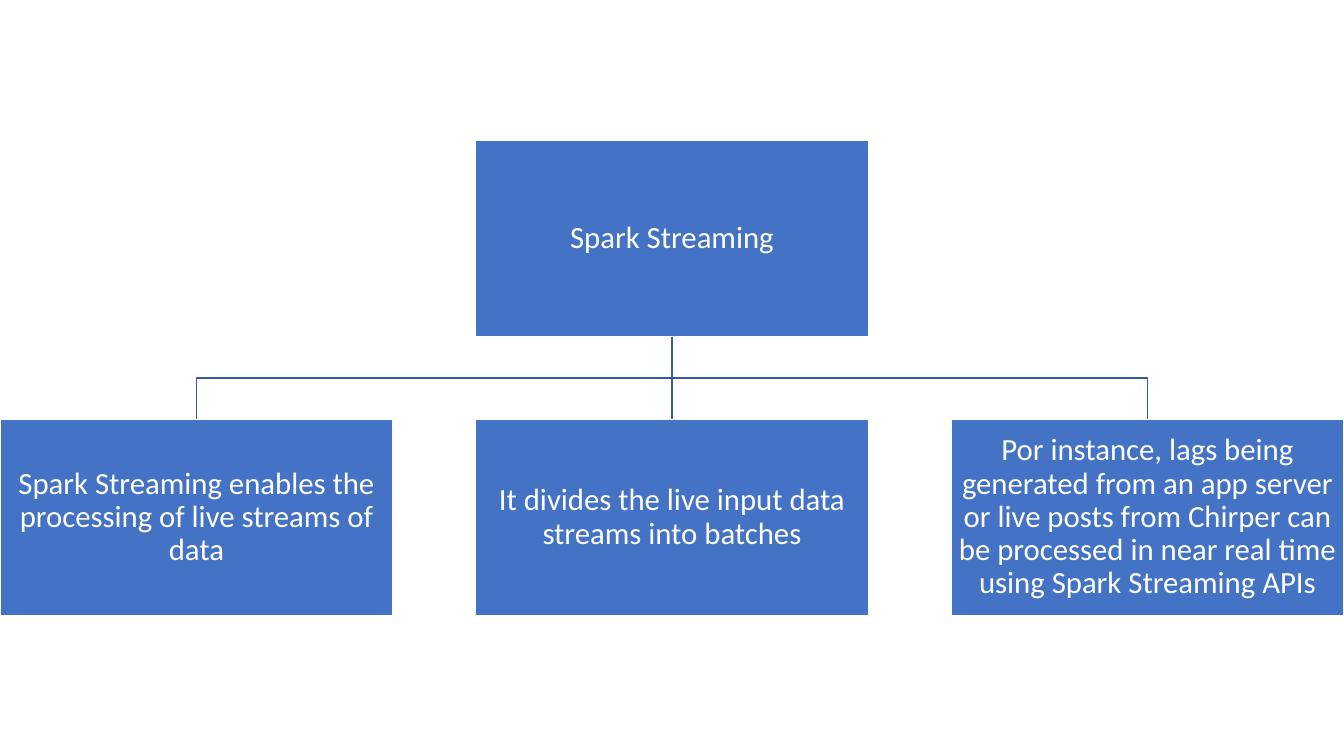
from dataclasses import dataclass

from lxml import etree
from pptx import Presentation
from pptx.dml.color import RGBColor
from pptx.enum.shapes import MSO_CONNECTOR, MSO_SHAPE
from pptx.enum.text import MSO_ANCHOR, PP_ALIGN
from pptx.oxml.ns import qn
from pptx.util import Cm, Pt

RECTANGLE = MSO_SHAPE.RECTANGLE
STRAIGHT = MSO_CONNECTOR.STRAIGHT
MIDDLE = MSO_ANCHOR.MIDDLE
CENTER = PP_ALIGN.CENTER
TOP_SITE, BOTTOM_SITE = 0, 2
BLANK_LAYOUT = 6


@dataclass(frozen=True)
class Theme:
    box_fill: RGBColor = RGBColor(0x44, 0x72, 0xC4)
    branch: RGBColor = RGBColor(0x36, 0x5B, 0x9D)
    light: RGBColor = RGBColor(0xFF, 0xFF, 0xFF)
    font: str = "Calibri"
    text_size: Pt = Pt(22)
    line_width: Pt = Pt(1)
    inset: Cm = Cm(0.04)


THEME = Theme()
GAP_RATIO = 0.21  # gap between boxes, as a share of the box width
TOPIC = "Spark Streaming"
DETAILS = [
    "Spark Streaming enables the processing of live streams of data",
    "It divides the live input data streams into batches",
    "Por instance, lags being generated from an app server or live posts from "
    "Chirper can be processed in near real time using Spark Streaming APIs",
]


def add_box(slide, text, left, top, width, height):
    box = slide.shapes.add_shape(RECTANGLE, left, top, width, height)
    box.shadow.inherit = False
    box.fill.solid()
    box.fill.fore_color.rgb = THEME.box_fill
    box.line.color.rgb = THEME.light
    box.line.width = THEME.line_width

    frame = box.text_frame
    frame.word_wrap = True
    frame.vertical_anchor = MIDDLE
    frame.margin_left = frame.margin_right = THEME.inset
    frame.margin_top = frame.margin_bottom = THEME.inset
    paragraph = frame.paragraphs[0]
    paragraph.alignment = CENTER
    paragraph.line_spacing = 0.9
    run = paragraph.add_run()
    run.text = text
    run.font.name = THEME.font
    run.font.size = THEME.text_size
    run.font.color.rgb = THEME.light
    return box


def add_branch(slide, parent, child):
    """Link two boxes: straight if aligned, otherwise bent halfway down."""
    start_x = parent.left + parent.width // 2
    end_x = child.left + child.width // 2
    start_y, end_y = parent.top + parent.height, child.top
    if start_x == end_x:
        branch = slide.shapes.add_connector(STRAIGHT, start_x, start_y, end_x, end_y)
        branch.begin_connect(parent, BOTTOM_SITE)
        branch.end_connect(child, TOP_SITE)
        etree.SubElement(branch.element.spPr, qn("a:effectLst"))
    else:
        bend_y = (start_y + end_y) // 2
        outline = slide.shapes.build_freeform(start_x, start_y)
        outline.add_line_segments(
            [(start_x, bend_y), (end_x, bend_y), (end_x, end_y)], close=False)
        branch = outline.convert_to_shape()
        branch.shadow.inherit = False
        branch.fill.background()
    branch.line.color.rgb = THEME.branch
    branch.line.width = THEME.line_width


def add_hierarchy(slide, topic, details, left, top, width, height):
    """Centre a topic above a row of details, filling the width given."""
    count = len(details)
    box_width = int(width / (count + (count - 1) * GAP_RATIO))
    box_height = box_width // 2
    gap = int(box_width * GAP_RATIO)
    topic_top = top + (height - 2 * box_height - gap) // 2
    detail_top = topic_top + box_height + gap
    middle_left = left + (count - 1) * (box_width + gap) // 2

    topic_box = add_box(slide, topic, middle_left, topic_top, box_width, box_height)
    for column, detail in enumerate(details):
        detail_left = left + column * (box_width + gap)
        detail_box = add_box(slide, detail, detail_left, detail_top, box_width, box_height)
        add_branch(slide, topic_box, detail_box)


def main():
    deck = Presentation()
    deck.slide_width, deck.slide_height = Cm(33.87), Cm(19.05)
    slide = deck.slides.add_slide(deck.slide_layouts[BLANK_LAYOUT])
    add_hierarchy(slide, TOPIC, DETAILS, Cm(0), Cm(0), deck.slide_width, deck.slide_height)
    deck.save("out.pptx")


if __name__ == "__main__":
    main()
